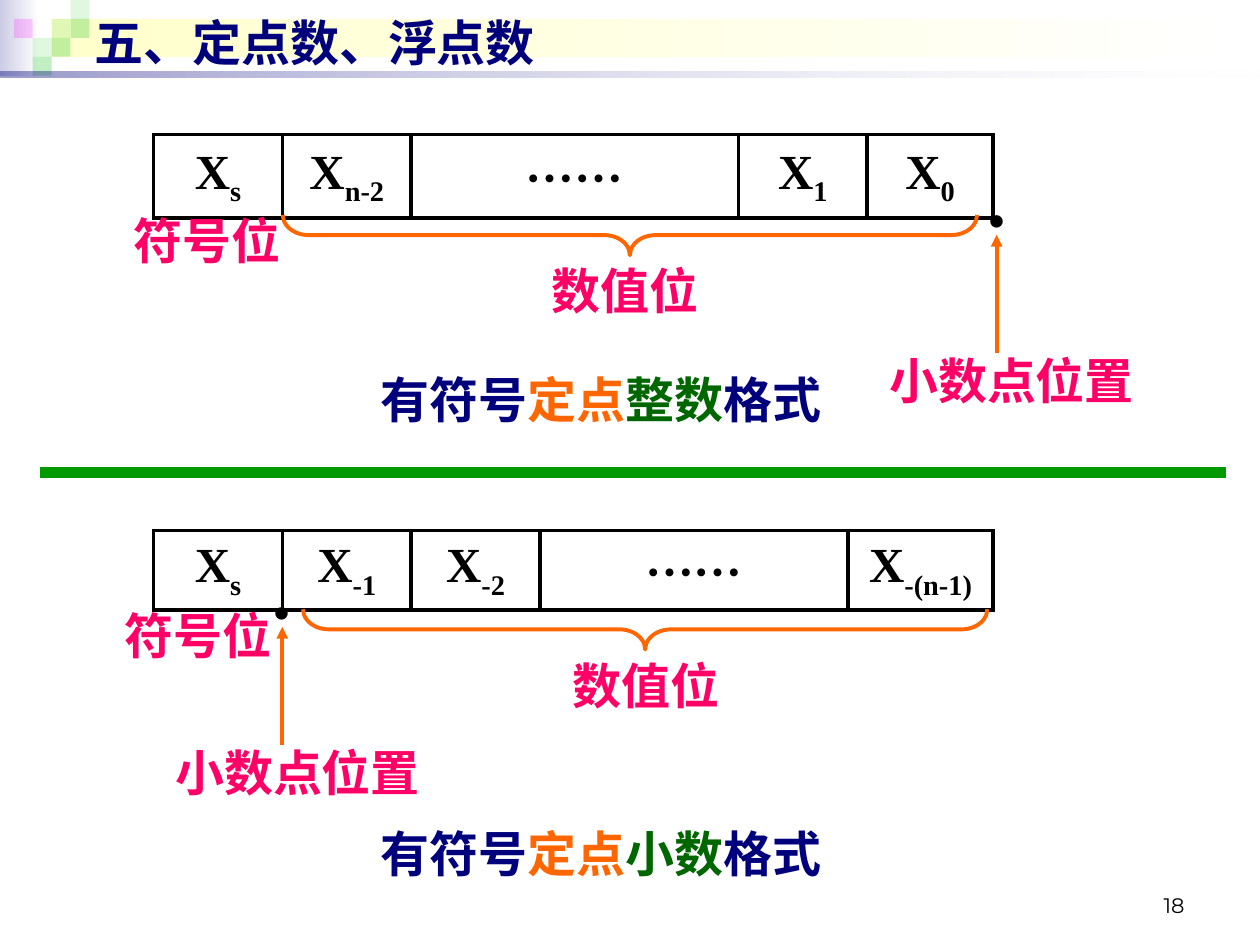
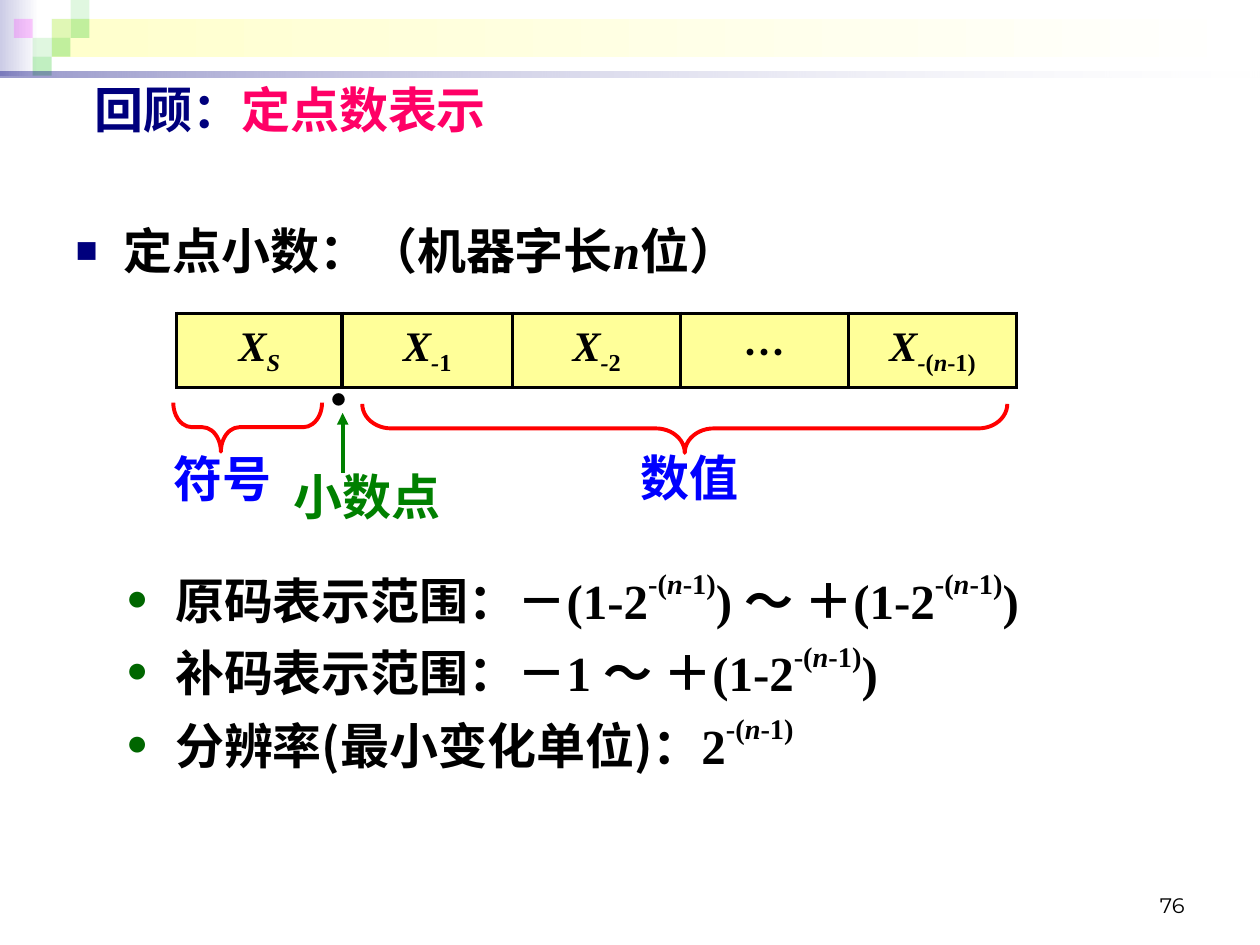
from pptx import Presentation
from pptx import util as u
from pptx.dml.color import RGBColor
from pptx.enum import shapes, text
from pptx.oxml.ns import qn
from lxml import etree

Pt = u.Pt
NAVY = RGBColor(0x00, 0x00, 0x7D)
BLACK = RGBColor(0x00, 0x00, 0x00)
WHITE = RGBColor(0xFF, 0xFF, 0xFF)
ORANGE = RGBColor(0xFF, 0x66, 0x00)
PINK = RGBColor(0xFF, 0x00, 0x66)
FOREST = RGBColor(0x00, 0x66, 0x00)
GREEN = RGBColor(0x00, 0x80, 0x00)
LEAF = RGBColor(0x00, 0x99, 0x00)
BLUE = RGBColor(0x00, 0x00, 0xFF)
RED = RGBColor(0xFF, 0x00, 0x00)
YELLOW = RGBColor(0xFF, 0xFF, 0x99)
LILAC = RGBColor(0xCC, 0xCC, 0xE6)
CREAM = RGBColor(0xFF, 0xFF, 0xCC)
LIME = RGBColor(0x33, 0xCC, 0x33)
VIOLET = RGBColor(0xFF, 0x00, 0xFF)

SERIF, SANS, HAN, DIGIT = "Times New Roman", "Arial", "Noto Sans CJK SC", "Montserrat"
ALIGN, MID = text.PP_ALIGN, text.MSO_ANCHOR.MIDDLE
SUB, SUP = -25, 50


def sub(parent, tag, **attrs):
    return etree.SubElement(parent, qn(tag), **attrs)


def write(par, words, size=28, font=SERIF, color=BLACK, bold=True, italic=False, base=0):
    """Add one run to a paragraph; base is the raise in percent."""
    run = par.add_run()
    run.text = words
    face = run.font
    face.size, face.name, face.bold, face.italic = Pt(size), font, bold, italic
    face.color.rgb = color
    mark = run._r.get_or_add_rPr()
    sub(mark, "a:ea", typeface=HAN)
    if base:
        mark.set("baseline", str(base * 1000))


def spread(par, parts, **form):
    """Write parts, each a string or a (string, own format) pair."""
    for part in [parts] if isinstance(parts, str) else parts:
        words, own = (part, {}) if isinstance(part, str) else part
        write(par, words, **{**form, **own})


def low(words, **form):
    return words, dict(base=SUB, **form)


def power():
    """The exponent -(n-1)."""
    return [("-(", dict(base=SUP)), ("n", dict(base=SUP, italic=True)), ("-1)", dict(base=SUP))]


def place(item, x, y, w, h):
    item.left, item.top, item.width, item.height = Pt(x), Pt(y), Pt(w), Pt(h)


class Deck:
    def __init__(self):
        self.prs = Presentation()
        self.prs.slide_width, self.prs.slide_height = Pt(720), Pt(540)
        self.slide = None

    def add(self, layout, title, y, number):
        self.slide = self.prs.slides.add_slide(self.prs.slide_layouts[layout])
        if len(self.prs.slides) == 1:
            self.band()
        head = self.slide.shapes.title
        place(head, 46.8, y, 648, 41)
        frame = head.text_frame
        frame.auto_size, frame.vertical_anchor = text.MSO_AUTO_SIZE.NONE, MID
        frame.paragraphs[0].alignment = ALIGN.LEFT
        spread(frame.paragraphs[0], title, font=SANS, color=NAVY)
        self.label(number, 516, 492, 168, 36, align=ALIGN.RIGHT,
                   anchor=text.MSO_ANCHOR.BOTTOM, size=12, font=DIGIT, bold=False)

    def band(self):
        """Draw the header decoration and move it to the slide master."""
        unit = 10.8
        parts = [self.rect(0, 0, 22.3, 43.2, [LILAC, WHITE]),
                 self.rect(29.5, unit, 687.6, 21.6, [CREAM, WHITE])]
        tiles = [(2, 1, LIME, 15), (3, 0, LIME, 15), (3, 1, LIME, 30), (1, 2, LIME, 15),
                 (0, 1, VIOLET, 20), (2, 2, LIME, 30), (1, 3, LIME, 30)]
        for col, row, color, alpha in tiles:
            parts.append(self.rect(7.9 + col * unit, row * unit, unit, unit, [color], [alpha]))
        parts.append(self.rect(0, 41, 720, 3.6, [NAVY, WHITE], [40, 10]))
        tree = self.prs.slide_master.shapes.element
        for spot, part in enumerate(parts, 2):
            tree.insert(spot, part.element)

    def rect(self, x, y, w, h, colors, alphas=()):
        """Plain box; two colours make a gradient from left to right."""
        box = self.slide.shapes.add_shape(
            shapes.MSO_SHAPE.RECTANGLE, Pt(x), Pt(y), Pt(w), Pt(h))
        box.shadow.inherit = False
        box.line.fill.background()
        if len(colors) == 1:
            box.fill.solid()
            box.fill.fore_color.rgb = colors[0]
        else:
            box.fill.gradient()
            box.fill.gradient_angle = 0
            for stop, color, pos in zip(box.fill.gradient_stops, colors, (0, 1)):
                stop.color.rgb, stop.position = color, pos
        for node, alpha in zip(box.element.spPr.iter(qn("a:srgbClr")), alphas):
            sub(node, "a:alpha", val=str(alpha * 1000))
        return box

    def label(self, parts, x, y, w, h=41, align=ALIGN.CENTER,
              anchor=text.MSO_ANCHOR.TOP, **form):
        frame = self.slide.shapes.add_textbox(Pt(x), Pt(y), Pt(w), Pt(h)).text_frame
        frame.word_wrap, frame.vertical_anchor = True, anchor
        frame.paragraphs[0].alignment = align
        spread(frame.paragraphs[0], parts, **form)

    def dot(self, x, y):
        """Binary point centred on x."""
        self.label("·", x - 22.5, y, 45, font=HAN)

    def line(self, x1, y1, x2, y2, color, width=2.25, arrow=False):
        link = self.slide.shapes.add_connector(
            shapes.MSO_CONNECTOR.STRAIGHT, Pt(x1), Pt(y1), Pt(x2), Pt(y2))
        link.line.color.rgb, link.line.width = color, Pt(width)
        if arrow:
            sub(link.line._get_or_add_ln(), "a:tailEnd", type="triangle")
        sub(link.element.spPr, "a:effectLst")

    def brace(self, x, y, w, h, color, curve, tip=0.5):
        """Brace that opens upward and fills the given box."""
        item = self.slide.shapes.add_shape(
            shapes.MSO_SHAPE.LEFT_BRACE,
            Pt(x + (w - h) / 2), Pt(y + (h - w) / 2), Pt(h), Pt(w))
        item.rotation = 270
        item.adjustments[0], item.adjustments[1] = curve, tip
        item.shadow.inherit = False
        item.fill.background()
        item.line.color.rgb, item.line.width = color, Pt(2.25)

    def word(self, x, y, h, cols, cells, fill=None, **form):
        """One-row table that shows the fields of a machine word."""
        grid = self.slide.shapes.add_table(
            1, len(cols), Pt(x), Pt(y), Pt(sum(cols)), Pt(h)).table
        grid.first_row = grid.horz_banding = False
        grid.rows[0].height = Pt(h)
        for col, (width, parts) in enumerate(zip(cols, cells)):
            grid.columns[col].width = Pt(width)
            cell = grid.cell(0, col)
            cell.vertical_anchor = MID
            cell.margin_top = cell.margin_bottom = Pt(2)
            par = cell.text_frame.paragraphs[0]
            par.alignment = ALIGN.CENTER
            spread(par, parts, **form)
            props = cell._tc.get_or_add_tcPr()
            for side in "LRTB":
                edge = sub(props, "a:ln" + side, w=str(Pt(2.25)))
                sub(sub(edge, "a:solidFill"), "a:srgbClr", val=str(BLACK))
            if fill:
                cell.fill.solid()
                cell.fill.fore_color.rgb = fill
            else:
                cell.fill.background()

    def body(self, items, x, y, w, h):
        """Fill the body with (parts, level, space before) items."""
        holder = self.slide.placeholders[1]
        place(holder, x, y, w, h)
        frame = holder.text_frame
        frame.auto_size = text.MSO_AUTO_SIZE.NONE
        looks = [("■", NAVY, 27.4, 27.4), ("●", FOREST, 56.9, 28.1)]
        for spot, (parts, level, gap) in enumerate(items):
            par = frame.add_paragraph() if spot else frame.paragraphs[0]
            par.level, par.space_before = level, Pt(gap)
            sign, color, left, hang = looks[level]
            props = par._p.get_or_add_pPr()
            props.set("marL", str(Pt(left)))
            props.set("indent", str(-Pt(hang)))
            sub(sub(props, "a:buClr"), "a:srgbClr", val=str(color))
            sub(props, "a:buSzPct", val="75000")
            sub(props, "a:buFont", typeface=SANS)
            sub(props, "a:buChar", char=sign)
            spread(par, parts)


def formats(deck):
    deck.add(5, "五、定点数、浮点数", 3.6, "18")
    dots = ("……", dict(font=HAN))
    unit = 73.6
    rows = [
        dict(y=77, h=47.5, cols=[unit, unit, 187, unit, 72],
             cells=[["X", low("s")], ["X", low("n-2")], [dots], ["X", low("1")], ["X", low("0")]],
             point=569.5, dot=106, sign=65, mark=116.6, brace=(161.6, 122.8, 396.7),
             value=269, tag=490, kind="整数", name=207.4),
        dict(y=303, h=45.5, cols=[unit, unit, unit, 176, 83],
             cells=[["X", low("s")], ["X", low("-1")], ["X", low("-2")], [dots],
                    ["X", low("-(n-1)")]],
             point=161.3, dot=330, sign=59.5, mark=342.7, brace=(173.2, 348.1, 391),
             value=281, tag=82, kind="小数", name=467.3)]
    for row in rows:
        x, y = row["point"], row["dot"]
        deck.word(87.8, row["y"], row["h"], row["cols"], row["cells"])
        deck.dot(x, y)
        deck.line(x, y + 95.8, x, y + 28.2, ORANGE, arrow=True)
        deck.label("小数点位置", row["tag"], y + 90.6, 176, color=PINK)
        deck.brace(*row["brace"], 23, ORANGE, 0.64)
        deck.label("数值位", row["value"], row["mark"] + 28.5, 176, color=PINK)
        deck.label("符号位", row["sign"], row["mark"], 107, color=PINK)
        deck.label(["有符号", ("定点", dict(color=ORANGE)),
                    (row["kind"], dict(color=FOREST)), "格式"],
                   196, row["name"], 295, color=NAVY)
    deck.line(23, 270, 700.5, 270, LEAF, 6)


def review(deck):
    deck.add(1, ["回顾：", ("定点数表示", dict(color=PINK))], 41.8, "76")
    deck.body([
        (["定点小数：（机器字长", ("n", dict(italic=True)), "位）"], 0, 0),
        (["原码表示范围：－(1-2", *power(), ") ～ ＋(1-2", *power(), ")"], 1, 164),
        (["补码表示范围：－1 ～ ＋(1-2", *power(), ")"], 1, 5.6),
        (["分辨率", ("(", dict(font=HAN)), "最小变化单位", (")", dict(font=HAN)),
          "：2", *power()], 1, 5.6)], 36, 122.4, 659, 369)
    up = dict(italic=False)
    deck.word(101, 179, 42.3, [94.5, 97.5, 96, 96, 96],
              [["X", low("S")], ["X", low("-"), low("1", **up)],
               ["X", low("-"), low("2", **up)], [("…", dict(font=HAN, **up))],
               ["X", low("-"), low("(", **up), low("n"), low("-1)", **up)]],
              fill=YELLOW, size=24, italic=True)
    deck.dot(193.8, 207.4)
    deck.line(195.8, 270, 195.8, 236, GREEN, arrow=True)
    deck.label("小数点", 150, 263, 119, color=GREEN)
    for words, x, y in [("符号", 82, 252.7), ("数值", 348.5, 252)]:
        deck.label(words, x, y, 90.7, color=BLUE)
    deck.brace(207, 230.8, 368.6, 28, RED, 0.59)
    deck.brace(99, 230.1, 85, 28, RED, 0.38, 0.32)


def main():
    deck = Deck()
    formats(deck)
    review(deck)
    deck.prs.save("out.pptx")


if __name__ == "__main__":
    main()
